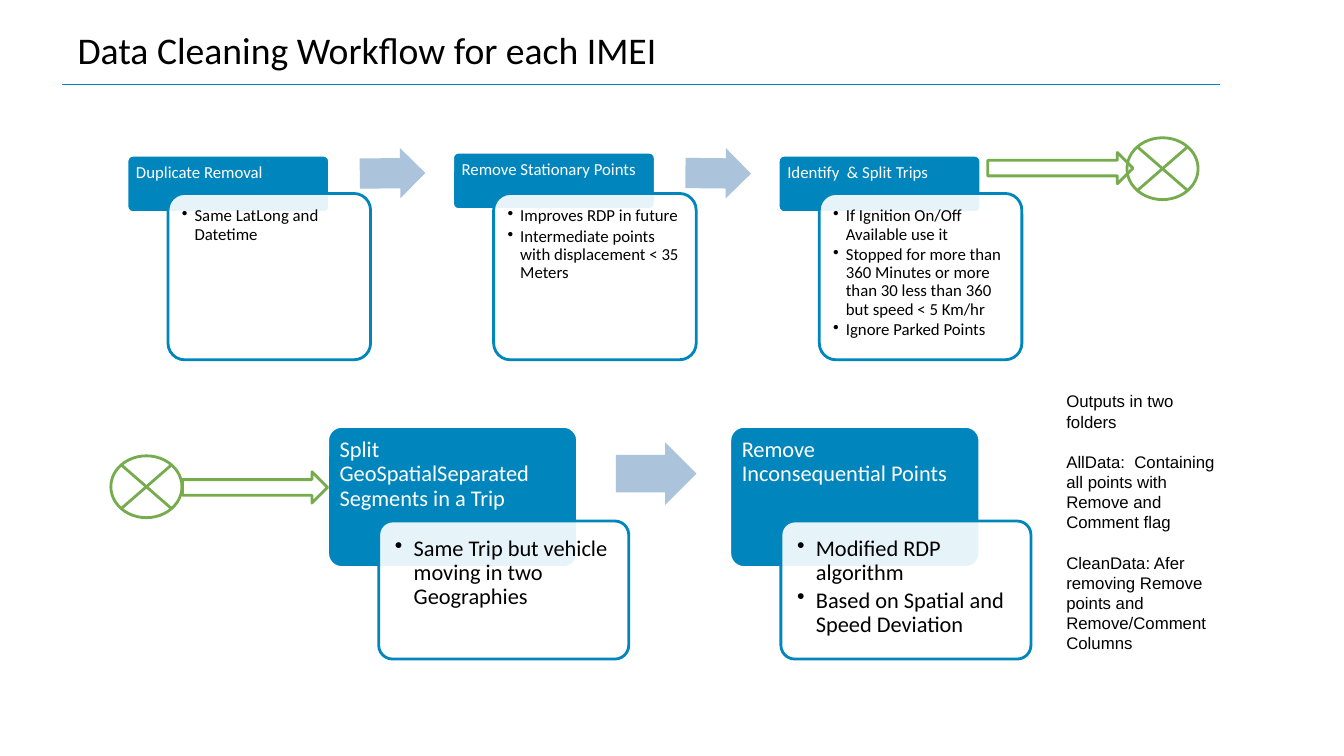
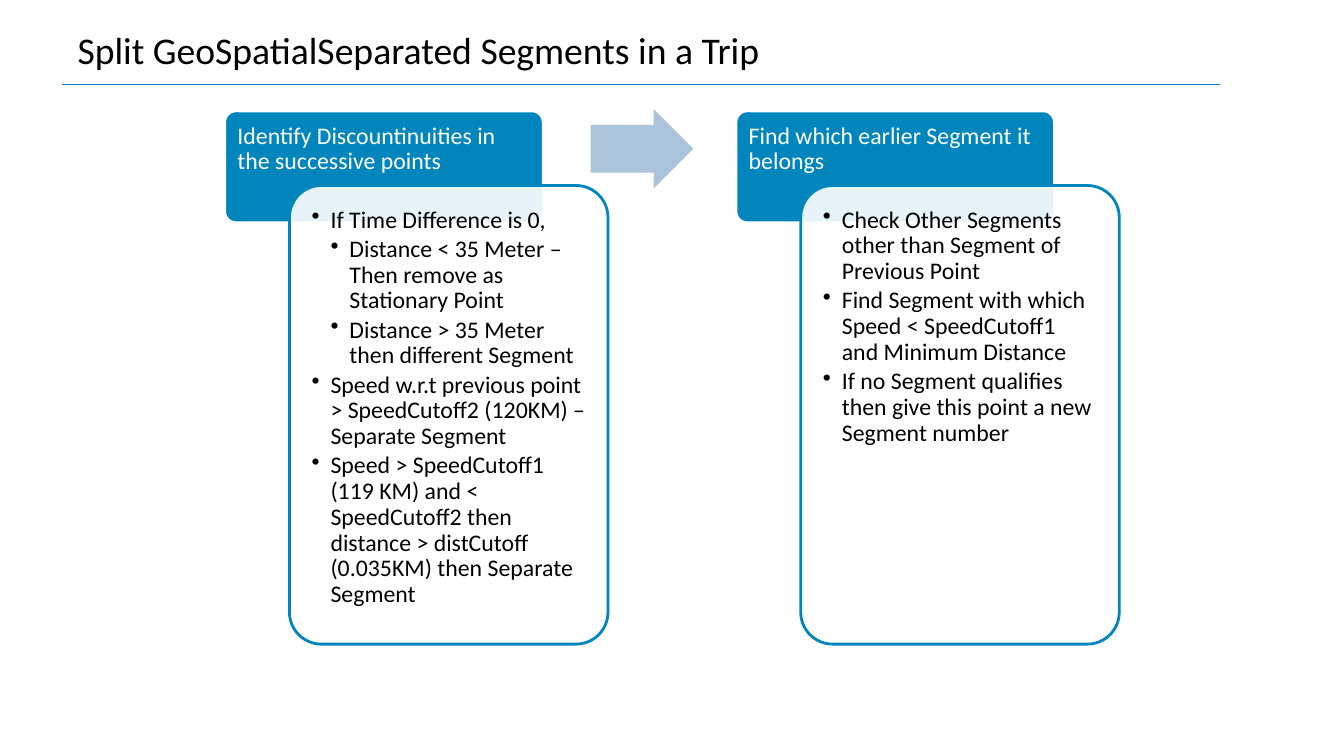
from collections import namedtuple
from math import atan2, degrees

from lxml import etree
from pptx import Presentation
from pptx.dml.color import RGBColor
from pptx.enum import shapes, text
from pptx.oxml import ns
from pptx.util import Pt

BLUE, PALE, GREEN = "0086BD", "ABC3DB", "76AC4D"
WHITE, BLACK = "FFFFFF", "000000"
FONT, NOTE = "Calibri", "Arial"
KIND = shapes.MSO_SHAPE

# x, step: first head and distance to the next; dx: shift of a body
# arrow: shift from its head, top, width, height
Flow = namedtuple("Flow", "x step w head_h dx body_y body_h arrow size indent")
# points: (level, text) pairs
Card = namedtuple("Card", "y head points")

CLEAN = Flow(90.7, 232.6, 144.7, 41, 29.3, 138.2, 118.8,
             (166.3, 105.8, 46.8, 36), 12, 9)
REFINE = Flow(234, 287.3, 178.6, 100.8, 36.5, 372.2, 98.6,
              (205.9, 316, 57.6, 44.6), 16, 13.5)
SPLIT = Flow(160.5, 365.2, 227.5, 79.9, 46.3, 132.5, 327.6,
             (261.4, 77.8, 73.4, 56.9), 17, 13.5)

CLEAN_CARDS = [
    Card(110.9, "Duplicate Removal", [(1, "Same LatLong and Datetime")]),
    Card(108.7, "Remove Stationary Points", [
        (1, "Improves RDP in future"),
        (1, "Intermediate points with displacement < 35 Meters")]),
    Card(110.9, "Identify  & Split Trips", [
        (1, "If Ignition On/Off Available use it"),
        (1, "Stopped for more than 360 Minutes or more than 30 less than 360 "
            "but speed < 5 Km/hr"),
        (1, "Ignore Parked Points")]),
]
REFINE_CARDS = [
    Card(304.6, "Split GeoSpatialSeparated Segments in a Trip",
         [(1, "Same Trip but vehicle  moving in two Geographies")]),
    Card(304.6, "Remove Inconsequential Points", [
        (1, "Modified RDP algorithm"),
        (1, "Based on Spatial and Speed Deviation")]),
]
SPLIT_CARDS = [
    Card(79.2, "Identify Discountinuities in the successive points", [
        (1, "If Time Difference is 0,"),
        (2, "Distance < 35 Meter – Then remove as Stationary Point"),
        (2, "Distance > 35 Meter then different Segment"),
        (1, "Speed w.r.t previous point > SpeedCutoff2 (120KM) "
            "– Separate Segment"),
        (1, "Speed > SpeedCutoff1 (119 KM) and < SpeedCutoff2 then distance "
            "> distCutoff (0.035KM) then Separate Segment")]),
    Card(79.2, "Find which earlier Segment it belongs", [
        (1, "Check Other Segments other than Segment of Previous Point"),
        (1, "Find Segment with which Speed < SpeedCutoff1 "
            "and Minimum Distance"),
        (1, "If no Segment qualifies then give this point "
            "a new Segment number")]),
]
OUTPUTS = [
    "Outputs in two folders",
    "AllData:  Containing all points with Remove and Comment flag",
    "CleanData: Afer removing Remove points and Remove/Comment Columns",
]


def rgb(code):
    return RGBColor.from_string(code)


def apply(item, form):
    for key, value in form.items():
        setattr(item, key, value)


def place(item, x, y, w, h):
    apply(item, {"left": Pt(x), "top": Pt(y),
                 "width": Pt(w), "height": Pt(h)})


def paint(shape, fill=None, line=None):
    """Fill and outline a shape; None leaves that part clear."""
    shape.shadow.inherit = False
    if fill:
        shape.fill.solid()
        shape.fill.fore_color.rgb = rgb(fill)
    else:
        shape.fill.background()
    if line:
        shape.line.color.rgb = rgb(line)
        shape.line.width = Pt(2)
    else:
        shape.line.fill.background()


def draw(slide, kind, box, fill=None, line=None):
    shape = slide.shapes.add_shape(kind, *map(Pt, box))
    paint(shape, fill, line)
    return shape


def frame(shape, pad=None, anchor=text.MSO_ANCHOR.TOP):
    area = shape.text_frame
    apply(area, {"word_wrap": True, "vertical_anchor": anchor,
                 "auto_size": text.MSO_AUTO_SIZE.NONE})
    if pad is not None:
        apply(area, dict.fromkeys(
            ("margin_left", "margin_top", "margin_right"), Pt(pad)))
        area.margin_bottom = 0
    return area


def write(area, lines, size, color=BLACK, font=FONT, form=None):
    """Put one paragraph per line in the area and return them."""
    paras = []
    for i, line in enumerate(lines):
        para = area.add_paragraph() if i else area.paragraphs[0]
        para.text = line
        apply(para, {"alignment": text.PP_ALIGN.LEFT, **(form or {})})
        apply(para.font, {"name": font, "size": Pt(size)})
        para.font.color.rgb = rgb(color)
        paras.append(para)
    return paras


def bullet(para, level, indent):
    props = para._p.get_or_add_pPr()
    props.set("marL", str(Pt(level * indent)))
    props.set("indent", str(-Pt(indent)))
    etree.SubElement(props, ns.qn("a:buChar")).set("char", "•")


def fade(shape, share):
    """Set the opacity of a solid fill, in percent."""
    tint = shape._element.spPr.find(".//" + ns.qn("a:srgbClr"))
    etree.SubElement(tint, ns.qn("a:alpha")).set("val", str(share * 1000))


def add_slide(deck, title):
    slide = deck.slides.add_slide(deck.slide_layouts[5])
    rule = slide.shapes.add_connector(
        shapes.MSO_CONNECTOR.STRAIGHT, Pt(44.6), Pt(60.5), Pt(871.2), Pt(60.5))
    rule.line.color.rgb = rgb(BLUE)
    rule.line.width = Pt(0.75)
    etree.SubElement(rule._element.spPr, ns.qn("a:effectLst"))
    head = slide.shapes.title
    place(head, 48.2, 9.4, 823.7, 51.1)
    write(frame(head, anchor=text.MSO_ANCHOR.MIDDLE), [title], 26.9)
    return slide


def add_panel(slide, box, flow, fill, line):
    """Draw a rounded box and return it with its text area."""
    panel = draw(slide, KIND.ROUNDED_RECTANGLE, box, fill, line)
    panel.adjustments[0] = 0.1
    return panel, frame(panel, 0.54 * flow.size)


def add_card(slide, flow, card, x):
    form = {"line_spacing": 0.9, "space_after": Pt(0.15 * flow.size)}
    box = x, card.y, flow.w, flow.head_h
    _, area = add_panel(slide, box, flow, BLUE, WHITE)
    # the rounded corners already push the text in a little
    area.margin_left = area.margin_top = Pt(
        0.54 * flow.size - 0.03 * flow.head_h)
    write(area, [card.head], flow.size, WHITE, form=form)

    box = x + flow.dx, flow.body_y, flow.w, flow.body_h
    body, area = add_panel(slide, box, flow, WHITE, BLUE)
    fade(body, 90)
    levels, lines = zip(*card.points)
    for para, level in zip(write(area, lines, flow.size, form=form), levels):
        bullet(para, level, flow.indent)


def add_flow(slide, flow, cards):
    """Draw a row of cards with an arrow from each one to the next."""
    for i, card in enumerate(cards):
        x = flow.x + i * flow.step
        add_card(slide, flow, card, x)
        if i + 1 < len(cards):
            dx, y, w, h = flow.arrow
            arrow = draw(slide, KIND.RIGHT_ARROW, (x + dx, y, w, h), PALE)
            arrow.adjustments[0] = 0.6
            arrow.rotation = degrees(atan2(cards[i + 1].y - card.y, flow.step))


def add_link(slide, arrow, joint):
    """Draw a green arrow and the junction that carries the flow on."""
    draw(slide, KIND.RIGHT_ARROW, (*arrow, 103.7, 22.3), line=GREEN)
    draw(slide, KIND.FLOWCHART_SUMMING_JUNCTION, (*joint, 50.8, 44.2),
         line=GREEN)


def add_note(slide, lines):
    box = slide.shapes.add_textbox(Pt(754.6), Pt(275.8), Pt(125.3), Pt(196.6))
    paras = write(frame(box), lines, 12, font=NOTE,
                  form={"line_spacing": Pt(14.4)})
    for para in paras[1:]:
        para.space_before = Pt(14.4)


def main():
    deck = Presentation()
    apply(deck, {"slide_width": Pt(960), "slide_height": Pt(540)})

    slide = add_slide(deck, "Data Cleaning Workflow for each IMEI")
    add_flow(slide, CLEAN, CLEAN_CARDS)
    add_flow(slide, REFINE, REFINE_CARDS)
    add_link(slide, (705.6, 108.9), (805, 98.4))
    add_link(slide, (130.3, 337), (79.2, 325.6))
    add_note(slide, OUTPUTS)

    slide = add_slide(deck, "Split GeoSpatialSeparated Segments in a Trip")
    add_flow(slide, SPLIT, SPLIT_CARDS)

    deck.save("out.pptx")


if __name__ == "__main__":
    main()
